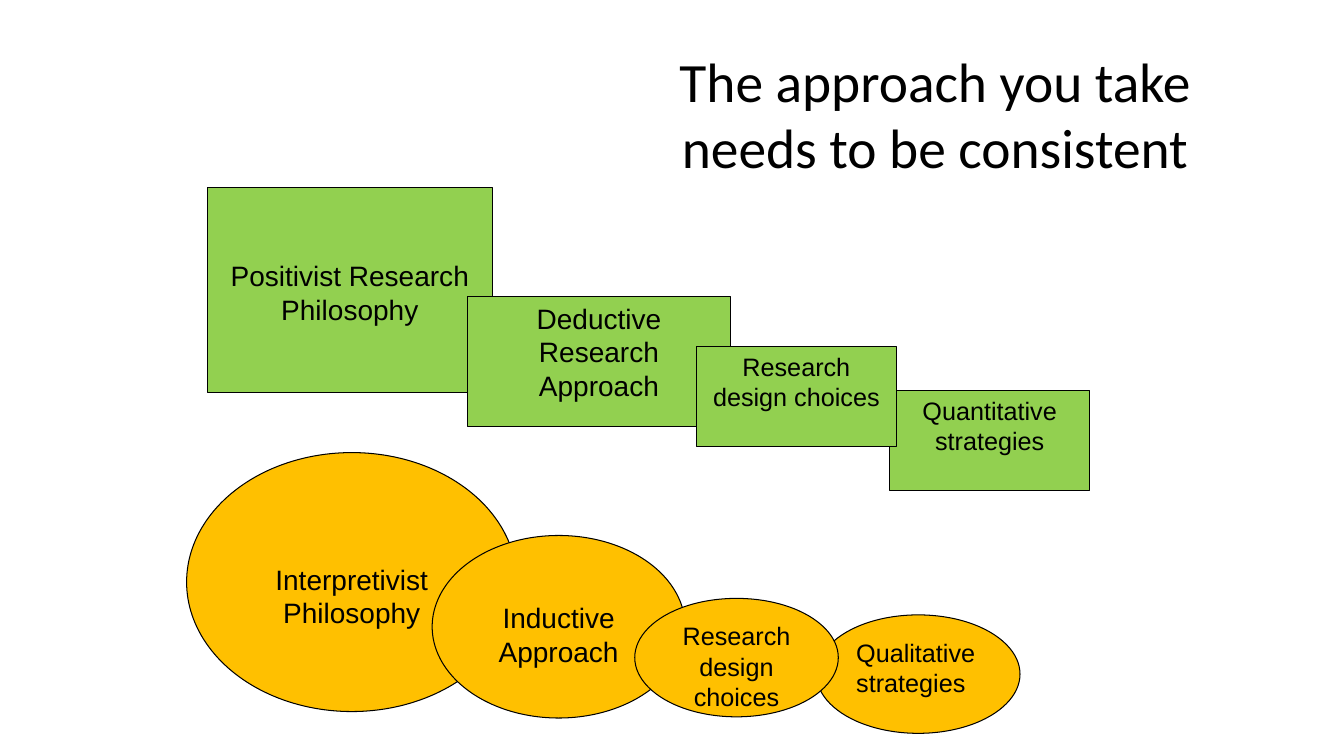
import pptx
import pptx.dml.color
import pptx.enum.shapes
import pptx.enum.text
import pptx.util

Pt = pptx.util.Pt
SHAPE = pptx.enum.shapes.MSO_SHAPE
ALIGN = pptx.enum.text.PP_ALIGN
ANCHOR = pptx.enum.text.MSO_ANCHOR
BLACK, GREEN, AMBER = "000000", "92D050", "FFC000"
INSET, LINE_DROP = 3.6, 23.75


def colour(hex_code):
    return pptx.dml.color.RGBColor.from_string(hex_code)


class ApproachSlide:
    """Holds the text style and the slide being filled."""

    def __init__(self, deck):
        self.font_name = "Arial"
        self.slide = deck.slides.add_slide(deck.slide_layouts[5])

    def set_words(self, frame, words, size, font_name, align):
        frame.word_wrap = True
        frame.text = words
        paragraph = frame.paragraphs[0]
        paragraph.alignment = align
        paragraph.font.size = Pt(size)
        paragraph.font.name = font_name
        paragraph.font.color.rgb = colour(BLACK)

    def title(self, words, left, top, width, height):
        heading = self.slide.shapes.title
        heading.left, heading.top = Pt(left), Pt(top)
        heading.width, heading.height = Pt(width), Pt(height)
        heading.text_frame.auto_size = pptx.enum.text.MSO_AUTO_SIZE.NONE
        heading.text_frame.vertical_anchor = ANCHOR.MIDDLE
        self.set_words(heading.text_frame, words, 39.6, "Calibri", ALIGN.CENTER)

    def stage(self, kind, fill, words, box, size, lines_down=0, align=ALIGN.CENTER):
        stage = self.slide.shapes.add_shape(kind, *map(Pt, box))
        stage.shadow.inherit = False
        stage.fill.solid()
        stage.fill.fore_color.rgb = colour(fill)
        stage.line.color.rgb = colour(BLACK)
        stage.line.width = Pt(0.75)
        frame = stage.text_frame
        frame.vertical_anchor = ANCHOR.TOP
        frame.margin_top = Pt(INSET + lines_down * LINE_DROP)
        self.set_words(frame, words, size, self.font_name, align)

    def positivist(self, *details):
        self.stage(SHAPE.RECTANGLE, GREEN, *details)

    def interpretivist(self, *details):
        self.stage(SHAPE.OVAL, AMBER, *details)


def main():
    deck = pptx.Presentation()
    deck.slide_width, deck.slide_height = Pt(960), Pt(540)
    page = ApproachSlide(deck)
    page.title("The approach you take needs to be consistent", 441.4, 28.8, 452.9, 104.4)

    page.positivist("Positivist Research Philosophy", (148.2, 133.8, 203.4, 146.6), 20, 2)
    page.positivist("Deductive Research Approach", (333.9, 211.6, 187.9, 93), 20)
    page.positivist("Quantitative strategies", (635.6, 278.8, 142.7, 71.7), 18)
    page.positivist("Research design choices", (497.5, 247.5, 142.7, 71.7), 18)

    page.interpretivist("Interpretivist Philosophy", (133.3, 323.3, 236, 185), 20, 2)
    page.interpretivist("Inductive Approach", (308.7, 382.5, 180.7, 130.4), 20, 1)
    page.interpretivist("Qualitative strategies", (583.2, 439.2, 145.4, 84.6), 18, 0, ALIGN.LEFT)
    page.interpretivist("Research design choices", (453.4, 427.4, 145.4, 84.6), 18)

    deck.save("out.pptx")


if __name__ == "__main__":
    main()
